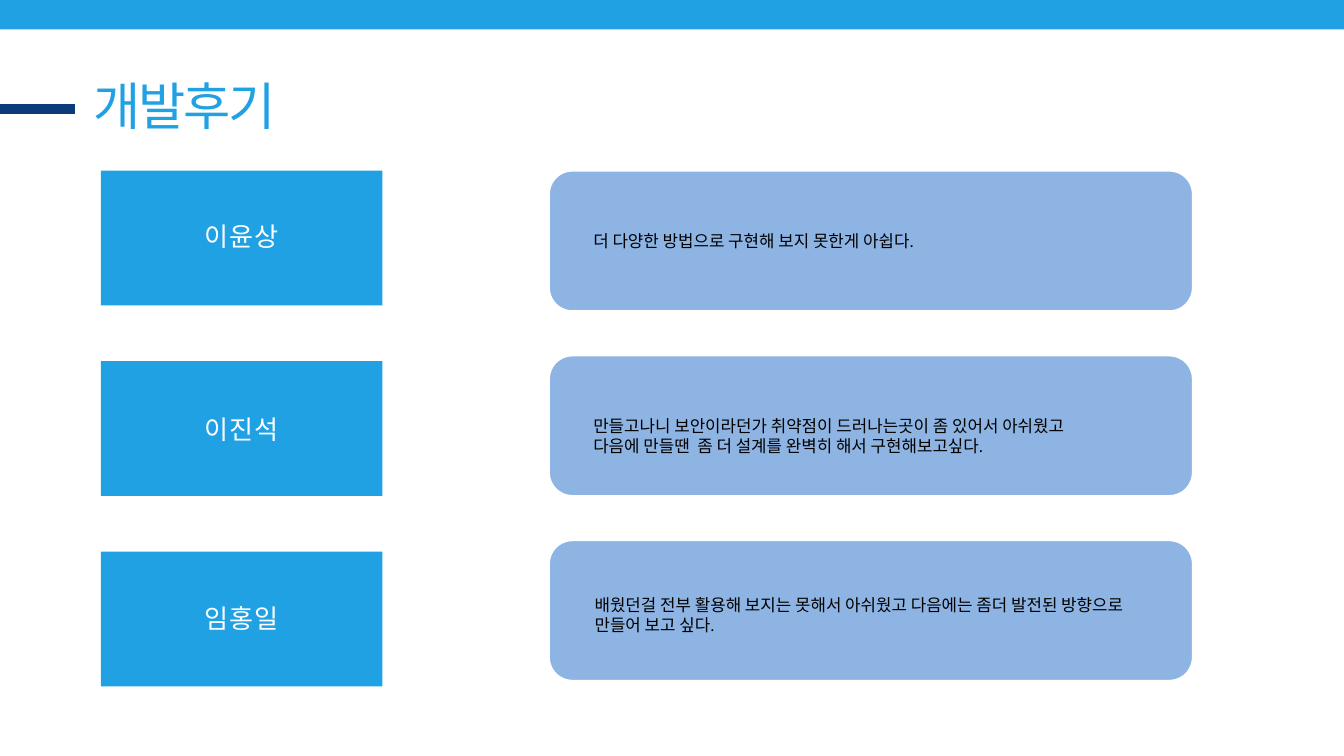
import pptx
import pptx.util
import pptx.dml.color
import pptx.enum.shapes
import pptx.enum.text
import pptx.oxml.ns
from lxml import etree

Pt = pptx.util.Pt
RGBColor = pptx.dml.color.RGBColor
SHAPE = pptx.enum.shapes.MSO_SHAPE
ALIGN = pptx.enum.text.PP_ALIGN

SKY = RGBColor(0x1F, 0xA1, 0xE4)
NAVY = RGBColor(0x0B, 0x3B, 0x7B)
PALE = RGBColor(0x8E, 0xB4, 0xE3)
WHITE = RGBColor(0xFF, 0xFF, 0xFF)
BLACK = RGBColor(0, 0, 0)

# Content: name, name text top, comment lines, comment (left, top, height)
TITLE = "개발후기"
REVIEWS = [
    ("이윤상", 239.8, ["더 다양한 방법으로 구현해 보지 못한게 아쉽다."],
     (628.6, 244.1, 28.8)),
    ("이진석", 446.4, ["만들고나니 보안이라던가 취약점이 드러나는곳이 좀 있어서 아쉬웠고",
                    "다음에 만들땐  좀 더 설계를 완벽히 해서 구현해보고싶다."],
     (628.6, 442.1, 51.1)),
    ("임홍일", 648.7, ["배웠던걸 전부 활용해 보지는 못해서 아쉬웠고 다음에는 좀더 발전된 방향으로 만들어 보고 싶다."],
     (630, 633.6, 51.1)),
]

# Text formats; tracking is in hundredths of a point
TITLE_FONT = {"name": "Calibri", "size": Pt(55), "color": SKY}
NAME_FONT = {"name": "Arial", "size": Pt(28), "color": WHITE}
COMMENT_FONT = {"name": "Calibri", "size": Pt(18), "color": BLACK}

# Layout in points
FIRST_TOP = 182.9
NAME_LEFT, NAME_WIDTH, NAME_HEIGHT, NAME_PITCH = 108, 301.7, 144.2, 204.1
CARD_LEFT, CARD_WIDTH, CARD_HEIGHT, CARD_PITCH = 588.2, 689.8, 150.5, 198
COMMENT_WIDTH = 607.7


def add_block(slide, preset, box, fill, outline=None):
    block = slide.shapes.add_shape(preset, *map(Pt, box))
    block.shadow.inherit = False
    block.fill.solid()
    block.fill.fore_color.rgb = fill
    if outline is None:
        block.line.fill.background()
    else:
        block.line.color.rgb = outline
        block.line.width = Pt(2)


def add_text(slide, box, lines, font, paragraph_format, tracking=0, inset=True):
    frame = slide.shapes.add_textbox(*map(Pt, box)).text_frame
    frame.word_wrap = True
    if not inset:
        for side in ("left", "top", "right", "bottom"):
            setattr(frame, f"margin_{side}", 0)
    for index, line in enumerate(lines):
        paragraph = frame.add_paragraph() if index else frame.paragraphs[0]
        for key, value in paragraph_format.items():
            setattr(paragraph, key, value)
        run = paragraph.add_run()
        run.text = line
        for key, value in font.items():
            if key == "color":
                run.font.color.rgb = value
            else:
                setattr(run.font, key, value)
        if tracking:
            run.font._element.set("spc", str(tracking))


def main():
    deck = pptx.Presentation()
    deck.slide_width, deck.slide_height = Pt(1440), Pt(810)
    slide = deck.slides.add_slide(deck.slide_layouts[6])

    # Top band and title dash
    add_block(slide, SHAPE.RECTANGLE, (-8.6, -9.4, 1457, 41), SKY)
    dash = slide.shapes.add_connector(
        pptx.enum.shapes.MSO_CONNECTOR.STRAIGHT,
        Pt(-24.5), Pt(116.6), Pt(80.8), Pt(116.6))
    dash.line.color.rgb = NAVY
    dash.line.width = Pt(11.25)
    etree.SubElement(dash._element.spPr, pptx.oxml.ns.qn("a:effectLst"))

    # Title
    add_text(slide, (100.1, 79.9, 520.6, 67), [TITLE], TITLE_FONT,
             {"line_spacing": Pt(66)}, tracking=-220, inset=False)

    # One row per person: name block and comment card
    for row, (name, name_top, comment, (left, top, height)) in enumerate(REVIEWS):
        add_block(slide, SHAPE.RECTANGLE,
                  (NAME_LEFT, FIRST_TOP + row * NAME_PITCH, NAME_WIDTH, NAME_HEIGHT), SKY)
        add_text(slide, (NAME_LEFT, name_top, NAME_WIDTH, 30), [name], NAME_FONT,
                 {"alignment": ALIGN.CENTER, "line_spacing": Pt(30)},
                 tracking=120, inset=False)
        add_block(slide, SHAPE.ROUNDED_RECTANGLE,
                  (CARD_LEFT, FIRST_TOP + row * CARD_PITCH, CARD_WIDTH, CARD_HEIGHT),
                  PALE, WHITE)
        add_text(slide, (left, top, COMMENT_WIDTH, height), comment, COMMENT_FONT,
                 {"alignment": ALIGN.LEFT})

    deck.save("out.pptx")


if __name__ == "__main__":
    main()
